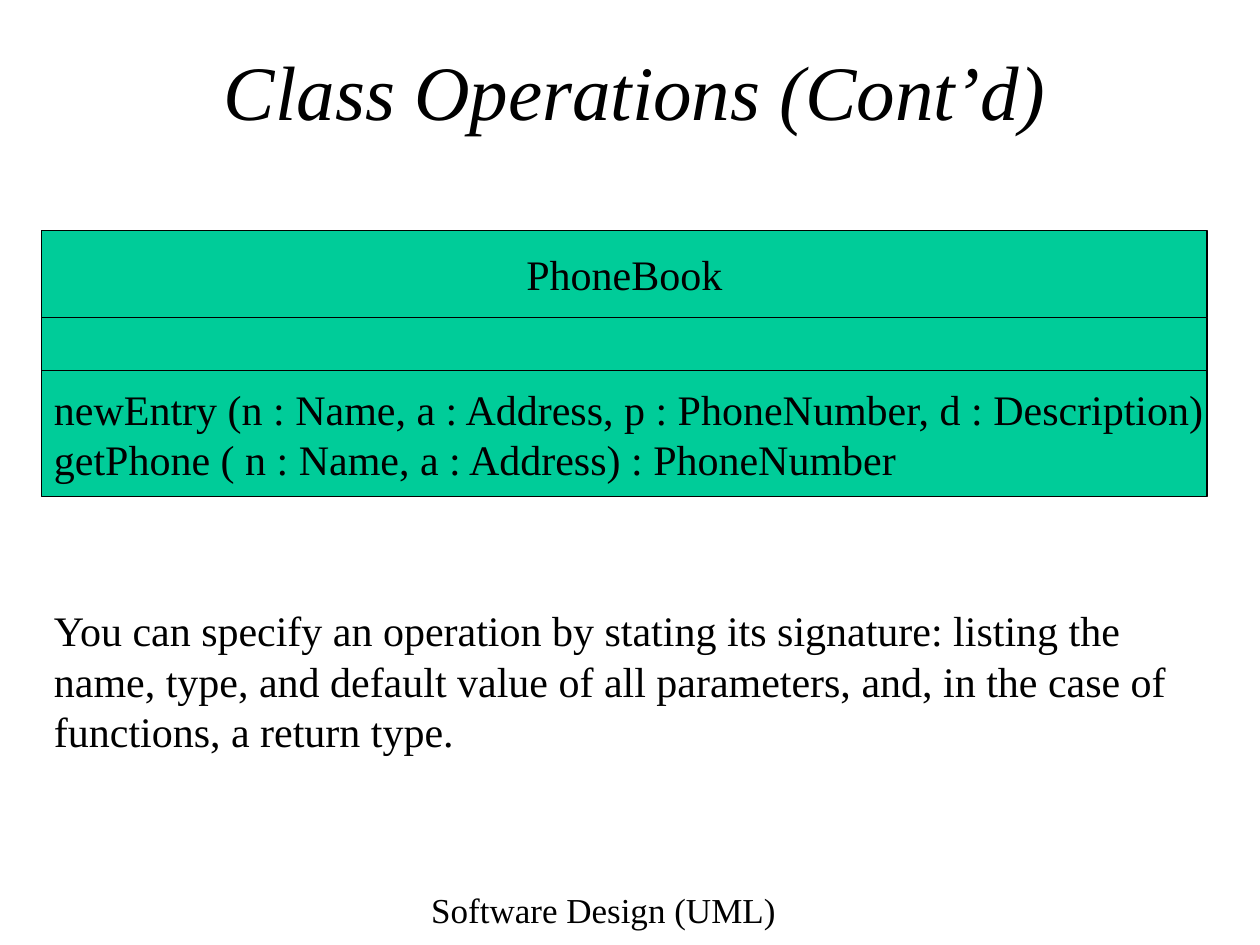
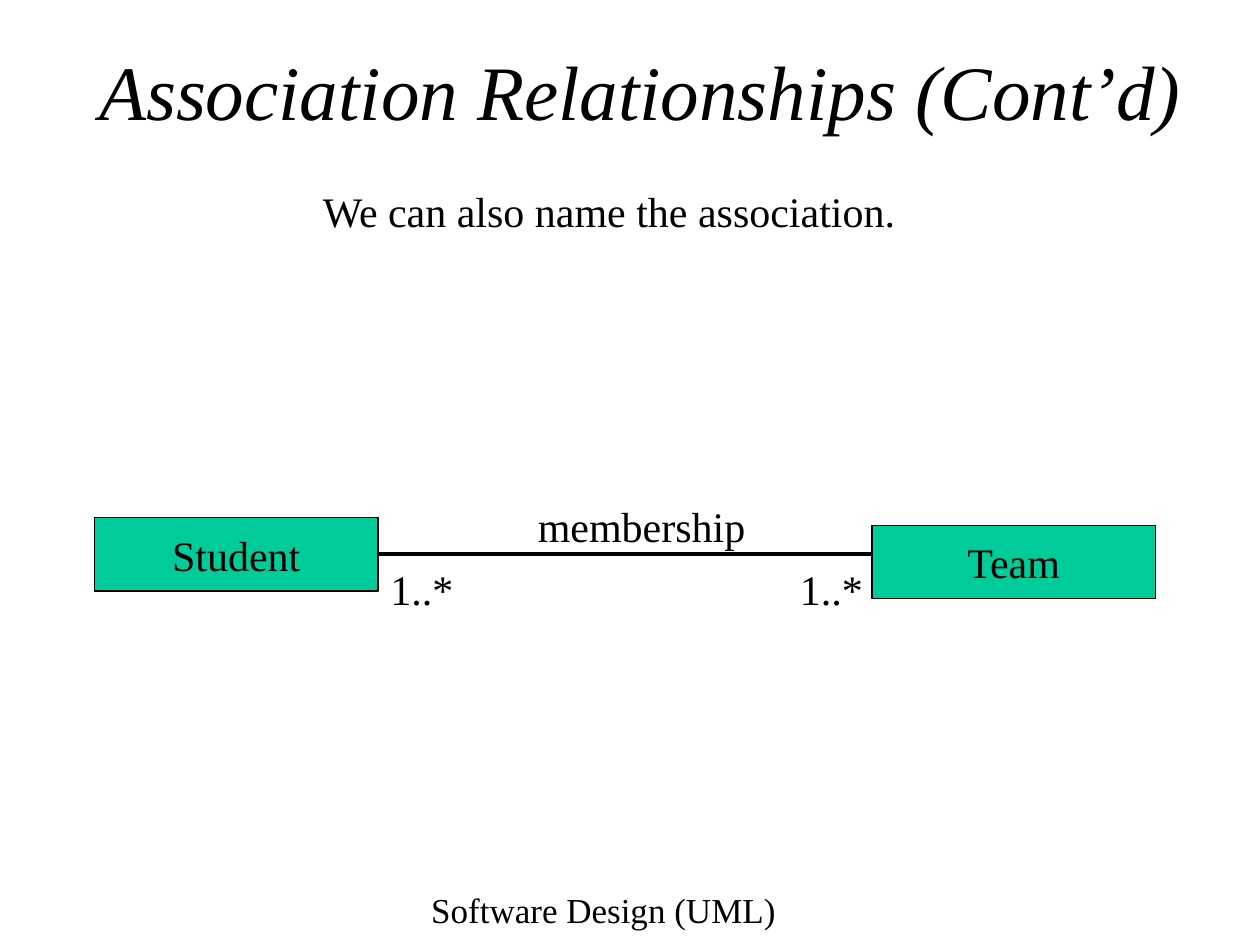
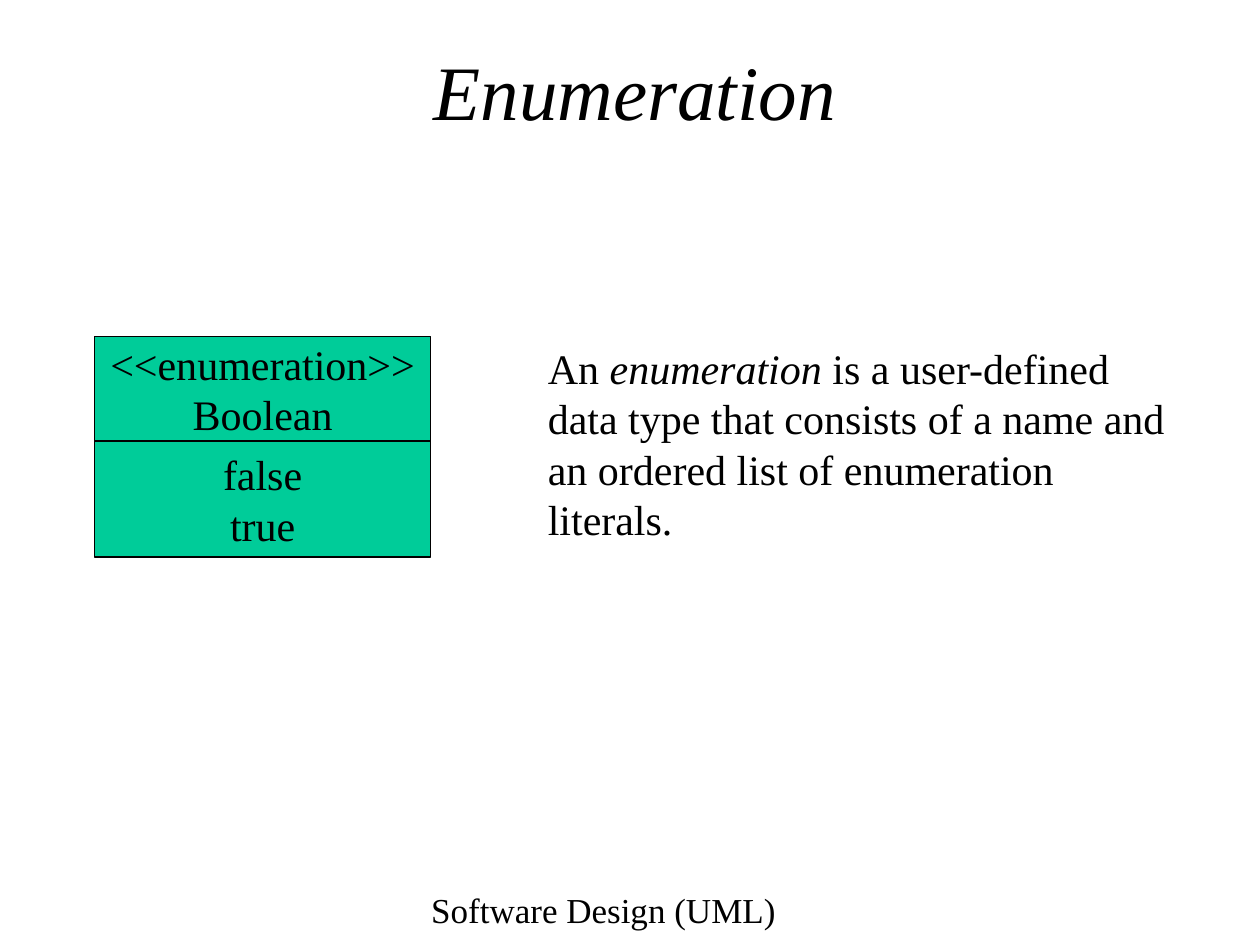
import pptx
import pptx.dml.color
import pptx.enum.shapes
import pptx.enum.text
import pptx.oxml
import pptx.oxml.ns
import pptx.util
from pptx.util import Inches

COLORS = {"text": "000000", "line": "000000", "class": "00CC99", "background": "FFFFFF"}
FONT = "Times New Roman"
FOOTER = "Software Design (UML)"
TITLE_SIZE, TEXT_SIZE, FOOTER_SIZE = 44, 24, 20
ALIGN = pptx.enum.text.PP_ALIGN
ANCHOR = pptx.enum.text.MSO_ANCHOR
AUTO_SIZE = pptx.enum.text.MSO_AUTO_SIZE


def color(name):
    return pptx.dml.color.RGBColor.from_string(COLORS[name])


class Deck:
    def __init__(self):
        self.presentation = pptx.Presentation()
        self.presentation.slide_width = Inches(10)
        self.presentation.slide_height = Inches(7.5)
        background = self.presentation.slide_master.background.fill
        background.solid()
        background.fore_color.rgb = color("background")
        self.slide = None

    def add_slide(self, title, left=0.75, width=8.58):
        title_only = self.presentation.slide_layouts[5]
        self.slide = self.presentation.slides.add_slide(title_only)
        self.add_text(FOOTER, 2.58, 7, 4.42, 0.5, ALIGN.CENTER, FOOTER_SIZE)
        shape = self.slide.shapes.title
        shape.left, shape.top = Inches(left), Inches(0.42)
        shape.width, shape.height = Inches(width), Inches(0.58)
        text_frame = shape.text_frame
        text_frame.text = title
        text_frame.auto_size = AUTO_SIZE.NONE
        text_frame.vertical_anchor = ANCHOR.MIDDLE
        text_frame.margin_left = text_frame.margin_right = 0
        text_frame.margin_top = text_frame.margin_bottom = 0
        self.format_text(text_frame, ALIGN.CENTER, TITLE_SIZE, italic=True)

    def format_text(self, text_frame, align, size=TEXT_SIZE, italic=False):
        for paragraph in text_frame.paragraphs:
            paragraph.alignment = align
            for run in paragraph.runs:
                run.font.name = FONT
                run.font.size = pptx.util.Pt(size)
                run.font.italic = italic
                run.font.color.rgb = color("text")

    def add_text(self, text, left, top, width, height, align=ALIGN.LEFT,
                 size=TEXT_SIZE, emphasis=None):
        shape = self.slide.shapes.add_textbox(
            Inches(left), Inches(top), Inches(width), Inches(height))
        text_frame = shape.text_frame
        text_frame.word_wrap = True
        if emphasis:
            for part in text.partition(emphasis):
                text_frame.paragraphs[0].add_run().text = part
        else:
            text_frame.text = text
        self.format_text(text_frame, align, size)
        for run in text_frame.paragraphs[0].runs:
            run.font.italic = run.text == emphasis

    def add_box(self, text, left, top, width, height, align=ALIGN.CENTER, shapes=None):
        shapes = shapes or self.slide.shapes
        shape = shapes.add_shape(
            pptx.enum.shapes.MSO_SHAPE.RECTANGLE,
            Inches(left), Inches(top), Inches(width), Inches(height))
        shape.shadow.inherit = False
        shape.fill.solid()
        shape.fill.fore_color.rgb = color("class")
        shape.line.color.rgb = color("line")
        shape.line.width = pptx.util.Pt(0.75)
        if text:
            text_frame = shape.text_frame
            text_frame.text = text
            text_frame.word_wrap = False
            text_frame.vertical_anchor = ANCHOR.MIDDLE
            self.format_text(text_frame, align)
        return shape

    def add_class(self, left, width, compartments):
        group = self.slide.shapes.add_group_shape()
        for text, top, height, align in compartments:
            self.add_box(text, left, top, width, height, align, group.shapes)

    def add_association(self, source, end_x, y):
        connector = self.slide.shapes.add_connector(
            pptx.enum.shapes.MSO_CONNECTOR.STRAIGHT,
            source.left + source.width, Inches(y), Inches(end_x), Inches(y))
        connector.begin_connect(source, 3)
        connector.line.color.rgb = color("line")
        connector.line.width = pptx.util.Pt(2.25)
        properties = connector.element.spPr
        properties.append(pptx.oxml.parse_xml(
            f"<a:effectLst {pptx.oxml.ns.nsdecls('a')}/>"))


def add_operations(deck):
    deck.add_slide("Class Operations (Cont’d)")
    operations = (
        "newEntry (n : Name, a : Address, p : PhoneNumber, d : Description)\n"
        "getPhone ( n : Name, a : Address) : PhoneNumber")
    deck.add_class(0.33, 9.25, [
        ("PhoneBook", 1.83, 0.69, ALIGN.CENTER),
        ("", 2.52, 0.52, ALIGN.CENTER),
        (operations, 2.94, 1, ALIGN.LEFT),
    ])
    deck.add_text(
        "You can specify an operation by stating its signature: listing the name, "
        "type, and default value of all parameters, and, in the case of functions, "
        "a return type.", 0.33, 4.75, 9.17, 1.3)


def add_associations(deck):
    deck.add_slide("Association Relationships (Cont’d)", 0.67, 8.83)
    deck.add_text("We can also name the association.", 1.67, 1.42, 6.33, 0.5, ALIGN.CENTER)
    student = deck.add_box("Student", 0.75, 4.11, 2.25, 0.58)
    deck.add_association(student, 7, 4.4)
    deck.add_box("Team", 6.92, 4.17, 2.25, 0.58)
    deck.add_text("membership", 4.17, 3.92, 1.92, 0.5)
    for left, width in ((3, 0.83), (6.25, 0.75)):
        deck.add_text("1..*", left, 4.42, width, 0.5)


def add_enumeration(deck):
    deck.add_slide("Enumeration")
    deck.add_class(0.75, 2.67, [
        ("<<enumeration>>\nBoolean", 2.67, 0.83, ALIGN.CENTER),
        ("false\ntrue", 3.5, 0.92, ALIGN.CENTER),
    ])
    deck.add_text(
        "An enumeration is a user-defined data type that consists of a name and "
        "an ordered list of enumeration literals.",
        4.25, 2.67, 5.14, 1.7, emphasis="enumeration")


def main():
    deck = Deck()
    add_operations(deck)
    add_associations(deck)
    add_enumeration(deck)
    deck.presentation.save("out.pptx")


if __name__ == "__main__":
    main()
